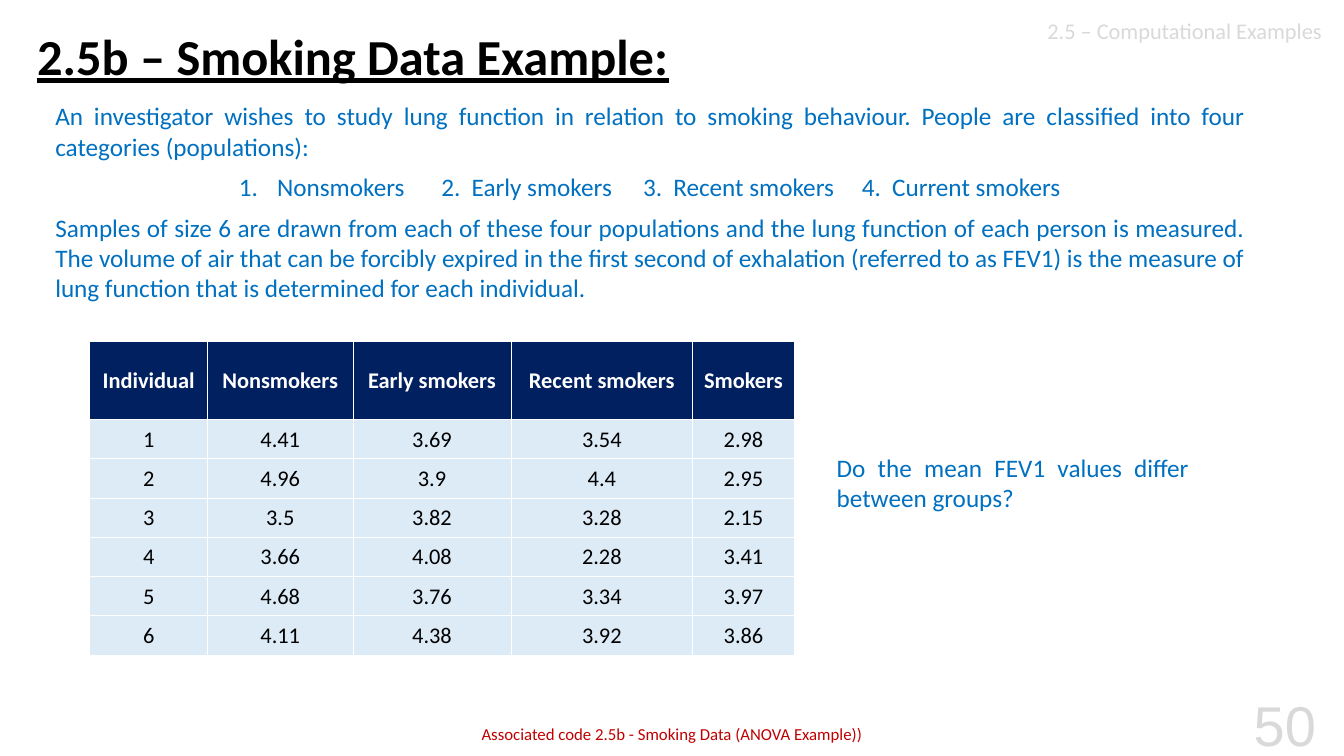
from dataclasses import dataclass

from lxml.etree import SubElement
from pptx import Presentation
from pptx.dml.color import RGBColor
from pptx.enum.text import MSO_ANCHOR as Anchor, PP_ALIGN as Align
from pptx.oxml.ns import qn
from pptx.util import Inches, Pt

# Content
TITLE = "2.5b – Smoking Data Example:"
SECTION = "2.5 – Computational Examples"
PAGE_NUMBER = "50"
INTRO = ("An investigator wishes to study lung function in relation to smoking "
         "behaviour. People are classified into four categories (populations):")
GROUPS = ["Nonsmokers", "Early smokers", "Recent smokers", "Current smokers"]
METHOD = ("Samples of size 6 are drawn from each of these four populations and the "
          "lung function of each person is measured. The volume of air that can be "
          "forcibly expired in the first second of exhalation (referred to as FEV1) "
          "is the measure of lung function that is determined for each individual.")
QUESTION = "Do the mean FEV1 values differ between groups?"
CODE_NOTE = "Associated code 2.5b - Smoking Data (ANOVA Example))"
HEADINGS = ["Individual", "Nonsmokers", "Early smokers", "Recent smokers", "Smokers"]
FEV1 = [
    ["4.41", "3.69", "3.54", "2.98"],
    ["4.96", "3.9", "4.4", "2.95"],
    ["3.5", "3.82", "3.28", "2.15"],
    ["3.66", "4.08", "2.28", "3.41"],
    ["4.68", "3.76", "3.34", "3.97"],
    ["4.11", "4.38", "3.92", "3.86"],
]
COLUMN_WIDTHS = [1.17, 1.44, 1.57, 1.8, 1.01]
HEADING_HEIGHT, ROW_HEIGHT = 0.77, 0.39
GROUP_STOPS = [(1.82, 2.2), (3.83, 4.13), (5.83, 6.13), (8.0, 8.3)]


@dataclass(frozen=True)
class Theme:
    font: str = "Calibri"
    number_font: str = "Arial"
    ink: str = "000000"
    blue: str = "0070C0"
    red: str = "C00000"
    grey: str = "D9D9D9"
    white: str = "FFFFFF"
    heading_fill: str = "002060"
    row_fill: str = "DDEBF7"
    title_size: int = 36
    body_size: int = 18
    table_size: int = 16
    note_size: int = 12
    number_size: int = 40
    paragraph_gap: float = 7.3
    border: float = 0.5


theme = Theme()


def style(para, size, color, align=Align.LEFT, bold=False, name=theme.font):
    para.alignment = align
    font = para.font
    font.name, font.size, font.bold = name, Pt(size), bold
    font.color.rgb = RGBColor.from_string(color)


def add_text(page, area, text, size, color, anchor=Anchor.TOP, **look):
    box = page.shapes.add_textbox(*map(Inches, area))
    frame = box.text_frame
    frame.word_wrap = True
    frame.vertical_anchor = anchor
    para = frame.paragraphs[0]
    para.text = text
    style(para, size, color, **look)
    return frame


def add_tabs(para, stops):
    tabs = SubElement(para._p.get_or_add_pPr(), qn("a:tabLst"))
    for stop in stops:
        SubElement(tabs, qn("a:tab"), pos=str(Inches(stop)), algn="l")


def add_borders(cell):
    properties = cell._tc.get_or_add_tcPr()
    for side in ("lnL", "lnR", "lnT", "lnB"):
        line = SubElement(properties, qn(f"a:{side}"), w=str(Pt(theme.border)))
        fill = SubElement(line, qn("a:solidFill"))
        SubElement(fill, qn("a:srgbClr"), val=theme.white)


def add_body(page):
    frame = add_text(page, (0.45, 0.95, 12, 2.15), INTRO, theme.body_size,
                     theme.blue, align=Align.JUSTIFY)
    numbered = "".join(f"\t{n}.\t{group}" for n, group in enumerate(GROUPS, 1))
    for text, align in ((numbered, Align.LEFT), (METHOD, Align.JUSTIFY)):
        para = frame.add_paragraph()
        para.text = text
        para.space_before = Pt(theme.paragraph_gap)
        if text == numbered:
            add_tabs(para, [stop for pair in GROUP_STOPS for stop in pair])
        style(para, theme.body_size, theme.blue, align)


def add_data_table(page):
    rows = [HEADINGS] + [[str(n), *values] for n, values in enumerate(FEV1, 1)]
    heights = [HEADING_HEIGHT] + [ROW_HEIGHT] * len(FEV1)
    area = (0.89, 3.39, sum(COLUMN_WIDTHS), sum(heights))
    table = page.shapes.add_table(len(rows), len(HEADINGS), *map(Inches, area)).table
    table.horz_banding = False
    for column, width in zip(table.columns, COLUMN_WIDTHS):
        column.width = Inches(width)
    for r, (values, height) in enumerate(zip(rows, heights)):
        table.rows[r].height = Inches(height)
        heading = r == 0
        for c, value in enumerate(values):
            cell = table.cell(r, c)
            cell.margin_left = cell.margin_right = cell.margin_top = Inches(0.01)
            cell.margin_bottom = 0
            cell.vertical_anchor = Anchor.MIDDLE
            add_borders(cell)
            cell.fill.solid()
            cell.fill.fore_color.rgb = RGBColor.from_string(
                theme.heading_fill if heading else theme.row_fill)
            para = cell.text_frame.paragraphs[0]
            para.text = value
            style(para, theme.table_size, theme.white if heading else theme.ink,
                  Align.CENTER, bold=heading)


def main():
    deck = Presentation()
    deck.slide_width, deck.slide_height = Inches(13.33), Inches(7.5)
    page = deck.slides.add_slide(deck.slide_layouts[6])

    # Section label and page number
    add_text(page, (9.21, 0.12, 4, 0.37), SECTION, theme.table_size, theme.grey,
             align=Align.RIGHT)
    add_text(page, (11.65, 6.8, 1.5, 0.7), PAGE_NUMBER, theme.number_size, theme.grey,
             align=Align.RIGHT, name=theme.number_font)

    # Body text
    add_body(page)

    # Title
    title = add_text(page, (0.27, 0.26, 10.07, 0.66), TITLE, theme.title_size,
                     theme.ink, anchor=Anchor.MIDDLE, bold=True).paragraphs[0]
    title.line_spacing = 0.9
    title.font.underline = True

    # Question and code note
    add_text(page, (8.2, 4.44, 3.69, 0.67), QUESTION, theme.body_size, theme.blue,
             align=Align.JUSTIFY)
    add_text(page, (3.29, 7.13, 6.75, 0.34), CODE_NOTE, theme.note_size, theme.red,
             align=Align.CENTER)

    # FEV1 table
    add_data_table(page)
    deck.save("out.pptx")


if __name__ == "__main__":
    main()
